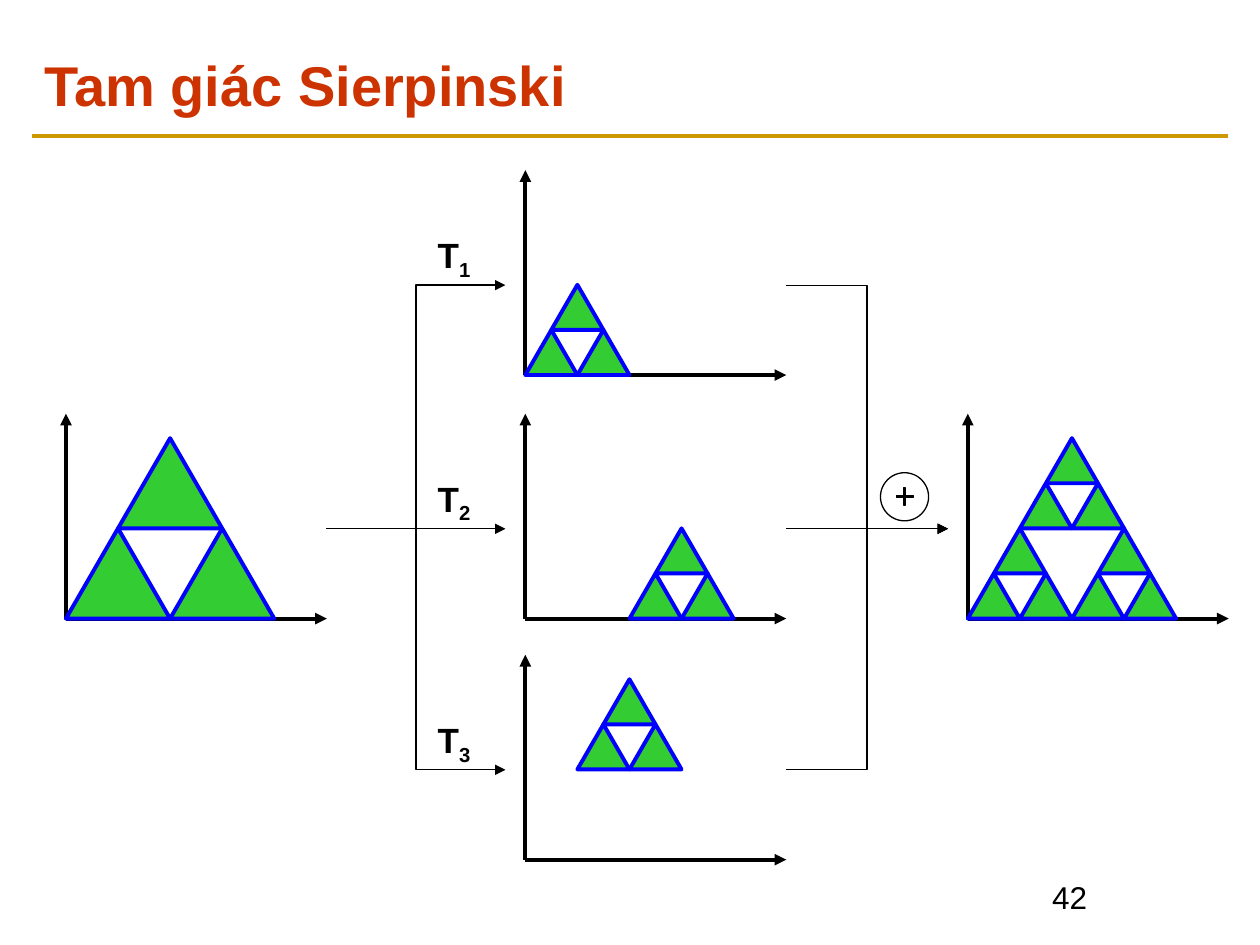
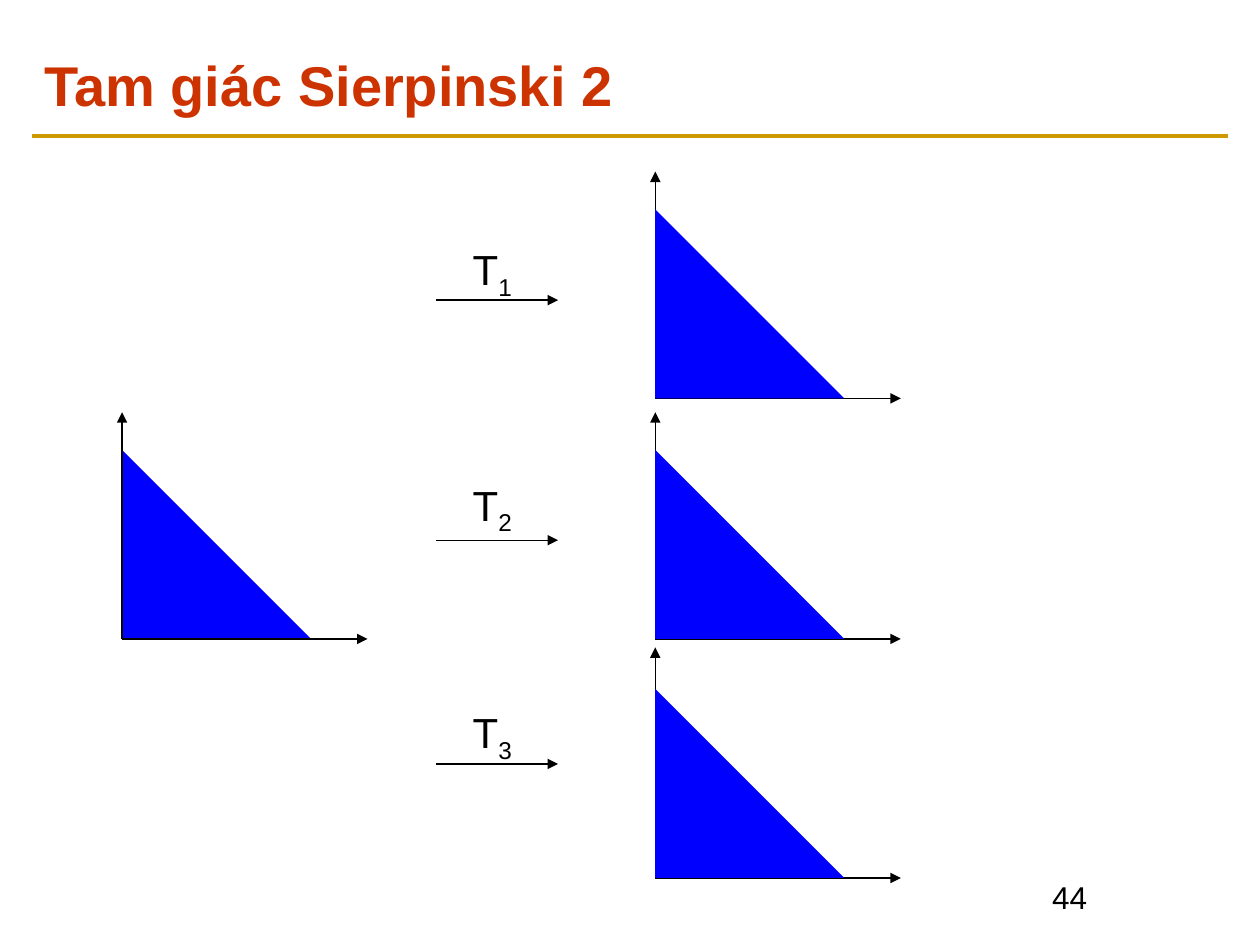
from dataclasses import dataclass
from math import sqrt

from lxml import etree
from pptx import Presentation
from pptx.dml.color import RGBColor
from pptx.enum.shapes import MSO_CONNECTOR, MSO_SHAPE
from pptx.enum.text import MSO_ANCHOR, MSO_AUTO_SIZE, PP_ALIGN
from pptx.oxml.ns import qn
from pptx.util import Cm, Pt

COLORS = {
    "title": "CC3300",
    "rule": "CC9900",
    "ink": "000000",
    "green": "33CC33",
    "blue": "0000FF",
}
FONT = "Arial"
THIN, THICK = 0.75, 2.25
TITLE_ONLY = 5
SIDE = 4.2
HALF = SIDE / 2
RISE = sqrt(3) / 2  # height of an equilateral triangle per unit of side


@dataclass(frozen=True)
class Axes:
    """Coordinate axes, in centimetres; lift raises the vertical one."""
    left: float
    base: float
    width: float
    height: float
    weight: float
    lift: float = 0


@dataclass(frozen=True)
class LabelStyle:
    left: float
    width: float
    height: float
    size: int
    bold: bool
    margin_x: float
    margin_y: float


@dataclass(frozen=True)
class Mapping:
    """One labelled arrow and the axes it leads to."""
    number: int
    label_top: float
    arrow_y: float
    axes: Axes


def rgb(name: str) -> RGBColor:
    return RGBColor.from_string(COLORS[name])


def style_font(font, size: int, color: str = "ink", bold: bool = False) -> None:
    font.name = FONT
    font.size = Pt(size)
    font.bold = bold
    font.color.rgb = rgb(color)


def set_margins(frame, horizontal: float, vertical: float) -> None:
    frame.margin_left = frame.margin_right = Cm(horizontal)
    frame.margin_top = frame.margin_bottom = Cm(vertical)


def draw_line(slide, start: tuple[float, float], end: tuple[float, float],
              color: str = "ink", weight: float = THIN, arrow: bool = True,
              kind=MSO_CONNECTOR.STRAIGHT) -> None:
    connector = slide.shapes.add_connector(
        kind, *(Cm(value) for value in (*start, *end)))
    connector.line.color.rgb = rgb(color)
    connector.line.width = Pt(weight)
    properties = connector.element.spPr
    if arrow:
        outline = properties.find(qn("a:ln"))
        etree.SubElement(outline, qn("a:tailEnd"), type="triangle")
    etree.SubElement(properties, qn("a:effectLst"))


def draw_triangle(slide, corners: list[tuple[float, float]], fill: str,
                  outline: str | None = None) -> None:
    points = [(Cm(x), Cm(y)) for x, y in corners]
    builder = slide.shapes.build_freeform(*points[0])
    builder.add_line_segments(points[1:], close=True)
    triangle = builder.convert_to_shape()
    triangle.shadow.inherit = False
    triangle.fill.solid()
    triangle.fill.fore_color.rgb = rgb(fill)
    if outline:
        triangle.line.color.rgb = rgb(outline)
        triangle.line.width = Pt(THICK)
    else:
        triangle.line.fill.background()


def draw_sierpinski(slide, left: float, base: float, side: float, depth: int) -> None:
    """Draw 3 ** depth triangles inside an equilateral one."""
    if depth == 0:
        corners = [(left, base), (left + side / 2, base - side * RISE),
                   (left + side, base)]
        draw_triangle(slide, corners, "green", "blue")
        return
    half = side / 2
    for shift, rise in ((0, 0), (half, 0), (half / 2, half * RISE)):
        draw_sierpinski(slide, left + shift, base - rise, half, depth - 1)


def draw_right_triangle(slide, axes: Axes) -> None:
    leg = 3.81
    corners = [(axes.left + leg, axes.base), (axes.left, axes.base),
               (axes.left, axes.base - leg)]
    draw_triangle(slide, corners, "blue")


def draw_axes(slide, axes: Axes) -> None:
    foot = axes.base - axes.lift
    draw_line(slide, (axes.left, axes.base), (axes.left + axes.width, axes.base),
              weight=axes.weight)
    draw_line(slide, (axes.left, foot), (axes.left, foot - axes.height),
              weight=axes.weight)


def draw_label(slide, mapping: Mapping, style: LabelStyle) -> None:
    box = slide.shapes.add_textbox(Cm(style.left), Cm(mapping.label_top),
                                   Cm(style.width), Cm(style.height))
    box.text_frame.word_wrap = False
    set_margins(box.text_frame, style.margin_x, style.margin_y)
    para = box.text_frame.paragraphs[0]
    para.text = "T"
    para.add_run().text = str(mapping.number)
    para.alignment = PP_ALIGN.CENTER
    for span in para.runs:
        style_font(span.font, style.size, bold=style.bold)
    subscript = list(box.element.iter(qn("a:rPr")))[-1]
    subscript.set("baseline", "-25000")


def draw_sum_sign(slide) -> None:
    for kind, left, top, size in ((MSO_SHAPE.OVAL, 17.75, 9.53, 0.97),
                                  (MSO_SHAPE.MATH_PLUS, 18.01, 9.78, 0.46)):
        sign = slide.shapes.add_shape(kind, Cm(left), Cm(top), Cm(size), Cm(size))
        sign.shadow.inherit = False
        sign.line.color.rgb = rgb("ink")
        sign.line.width = Pt(THIN)
        if kind == MSO_SHAPE.OVAL:
            sign.fill.background()
        else:
            sign.adjustments[0] = 0.09
            sign.fill.solid()
            sign.fill.fore_color.rgb = rgb("ink")


def add_page(deck, title: str, number: int):
    """Add a slide with its title, rule and page number."""
    page = deck.slides.add_slide(deck.slide_layouts[TITLE_ONLY])
    draw_line(page, (0.64, 2.74), (24.76, 2.74), "rule", THICK, arrow=False)

    box = page.shapes.add_textbox(Cm(20.96), Cm(17.58), Cm(3.81), Cm(1.27))
    box.text_frame.word_wrap = True
    box.text_frame.text = str(number)
    style_font(box.text_frame.paragraphs[0].runs[0].font, 18)

    heading = page.shapes.title
    heading.left, heading.top = Cm(0.64), Cm(0.84)
    heading.width, heading.height = Cm(24.13), Cm(1.7)
    frame = heading.text_frame
    frame.text = title
    frame.auto_size = MSO_AUTO_SIZE.NONE
    frame.vertical_anchor = MSO_ANCHOR.MIDDLE
    set_margins(frame, 0.25, 0.13)
    frame.paragraphs[0].alignment = PP_ALIGN.LEFT
    style_font(frame.paragraphs[0].runs[0].font, 32, "title", bold=True)
    return page


def build_equilateral_page(deck) -> None:
    page = add_page(deck, "Tam giác Sierpinski", 42)
    label_style = LabelStyle(8.81, 0.69, 0.84, 20, True, 0, 0)
    middle, flow_rise = 12.47, 1.81
    source, result = (Axes(left, middle, 5.26, 4.13, THICK) for left in (1.33, 19.51))
    mappings = [
        Mapping(number, base - flow_rise - 1.04, base - flow_rise,
                Axes(10.59, base, 5.26, 4.13, THICK))
        for number, base in enumerate((7.56, middle, 17.33), start=1)
    ]
    offsets = ((0, 0), (HALF, 0), (HALF / 2, HALF * RISE))
    flow_y = middle - flow_rise

    for axes in (source, *(mapping.axes for mapping in mappings), result):
        draw_axes(page, axes)
    draw_sierpinski(page, source.left, source.base, SIDE, 1)
    for mapping, (shift, rise) in zip(mappings, offsets):
        axes, y = mapping.axes, mapping.arrow_y
        kind = MSO_CONNECTOR.STRAIGHT if y == flow_y else MSO_CONNECTOR.ELBOW
        draw_line(page, (6.58, flow_y), (10.19, y), kind=kind)
        draw_line(page, (15.85, y), (19.11, flow_y), kind=kind)
        draw_label(page, mapping, label_style)
        draw_sierpinski(page, axes.left + shift, axes.base - rise, HALF, 1)
    draw_sum_sign(page)
    draw_sierpinski(page, result.left, result.base, SIDE, 2)


def build_right_angle_page(deck) -> None:
    page = add_page(deck, "Tam giác Sierpinski 2", 44)
    label_style = LabelStyle(9.25, 1.35, 1.27, 24, False, 0.25, 0.13)
    source = Axes(2.46, 12.88, 4.95, 4.57, THIN)
    mappings = [
        Mapping(1, 4.78, 6.05, Axes(13.21, 8.03, 4.95, 4.57, THIN)),
        Mapping(2, 9.53, 10.89, Axes(13.21, 12.88, 4.95, 4.57, THIN)),
        Mapping(3, 14.12, 15.4, Axes(13.21, 17.7, 4.95, 4.57, THIN, lift=0.08)),
    ]

    draw_right_triangle(page, source)
    draw_axes(page, source)
    for mapping in mappings:
        draw_axes(page, mapping.axes)
        draw_right_triangle(page, mapping.axes)
        draw_line(page, (8.79, mapping.arrow_y), (11.25, mapping.arrow_y))
        draw_label(page, mapping, label_style)


def main() -> None:
    deck = Presentation()
    deck.slide_width, deck.slide_height = Cm(25.4), Cm(19.05)
    build_equilateral_page(deck)
    build_right_angle_page(deck)
    deck.save("out.pptx")


if __name__ == "__main__":
    main()
